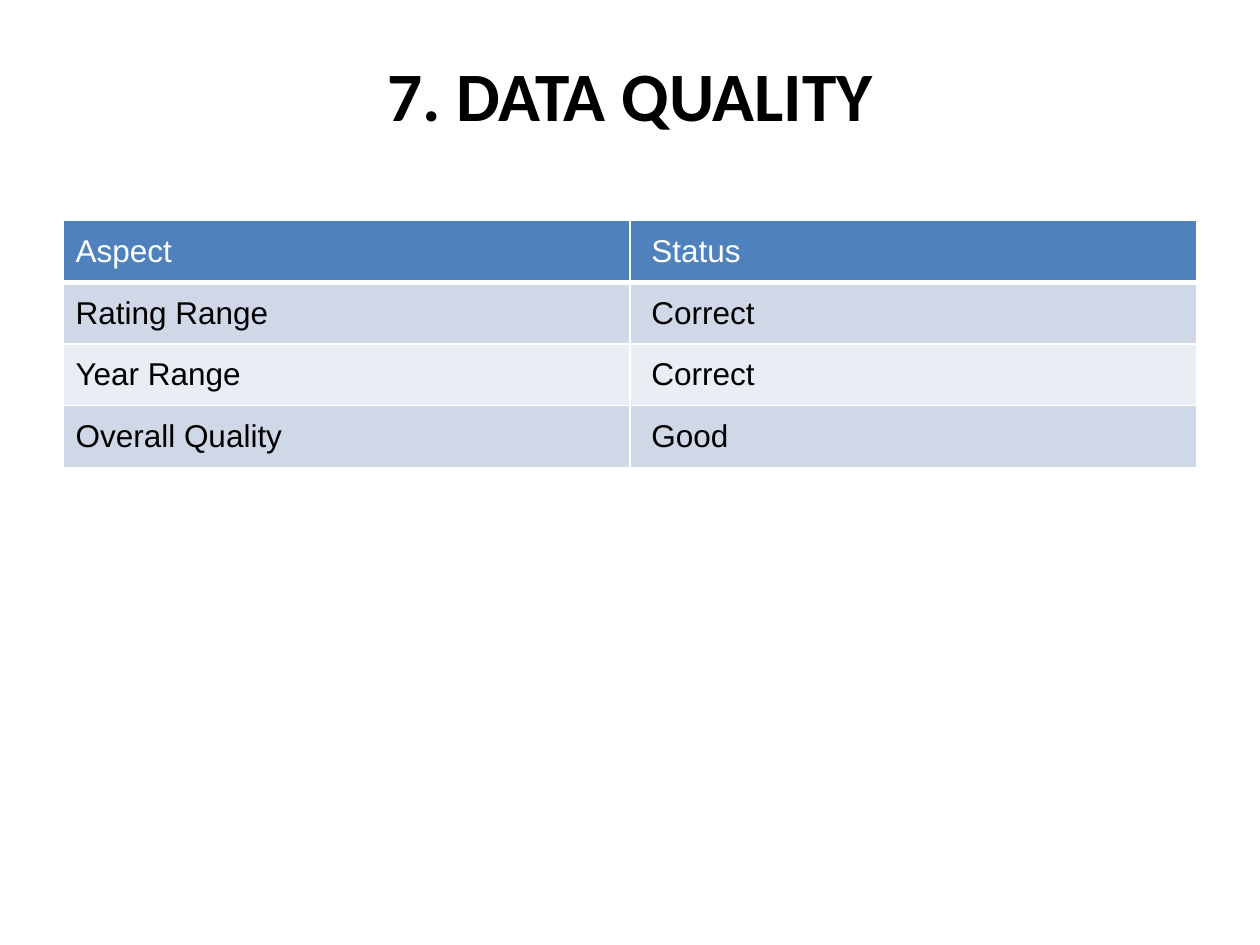
from lxml.etree import SubElement
from pptx import Presentation
from pptx.dml.color import RGBColor
from pptx.enum.text import MSO_ANCHOR, PP_ALIGN
from pptx.oxml.ns import qn
from pptx.util import Inches, Pt


def format_font(font, color, **values):
    font.color.rgb = RGBColor.from_string(color)
    for attribute, value in values.items():
        setattr(font, attribute, value)


def add_border(cell, side, color, width):
    line = SubElement(cell._tc.get_or_add_tcPr(), qn(f"a:ln{side}"), w=str(Pt(width)))
    SubElement(SubElement(line, qn("a:solidFill")), qn("a:srgbClr"), val=color)


quality = [
    ("Aspect", "Status"),
    ("Rating Range", "Correct"),
    ("Year Range", "Correct"),
    ("Overall Quality", "Good"),
]
header_fill = "4F81BD"
band_fills = ["E9EDF4", "D0D8E8"]

deck = Presentation()
deck.slide_width, deck.slide_height = Inches(10), Inches(7.5)
margin = deck.slide_width // 20
content_width = deck.slide_width - 2 * margin
row_height = Inches(0.49)

slide = deck.slides.add_slide(deck.slide_layouts[5])
heading = slide.shapes.title
heading_box = {
    "left": margin,
    "top": Inches(0.12),
    "width": content_width,
    "height": deck.slide_height // 6,
}
for attribute, value in heading_box.items():
    setattr(heading, attribute, value)
heading.text_frame.text = "7. DATA QUALITY"
heading.text_frame.vertical_anchor = MSO_ANCHOR.MIDDLE
heading_line = heading.text_frame.paragraphs[0]
heading_line.alignment = PP_ALIGN.CENTER
format_font(heading_line.runs[0].font, "000000", name="Calibri", size=Pt(39.6), bold=True)

quality_table = slide.shapes.add_table(
    len(quality), 2, margin, Inches(1.75), content_width, row_height * len(quality)
).table

for row, entries in enumerate(quality):
    quality_table.rows[row].height = row_height
    for column, entry in enumerate(entries):
        cell = quality_table.cell(row, column)
        cell_format = {
            "text": entry,
            "vertical_anchor": MSO_ANCHOR.MIDDLE,
            "margin_left": Inches(0.17 if column else 0.1),
            "margin_right": Inches(0.1 if column and row else 0.17),
            "margin_top": Inches(0.1),
            "margin_bottom": Inches(0.1),
        }
        for attribute, value in cell_format.items():
            setattr(cell, attribute, value)
        border_widths = {"L": 1, "R": 1, "T": 3 if row == 1 else 1, "B": 1 if row else 3}
        for side, width in border_widths.items():
            add_border(cell, side, "FFFFFF", width)
        cell.fill.solid()
        cell.fill.fore_color.rgb = RGBColor.from_string(band_fills[row % 2] if row else header_fill)
        format_font(
            cell.text_frame.paragraphs[0].runs[0].font,
            "000000" if row else "FFFFFF",
            name="Arial", size=Pt(18), bold=False,
        )

deck.save("out.pptx")
